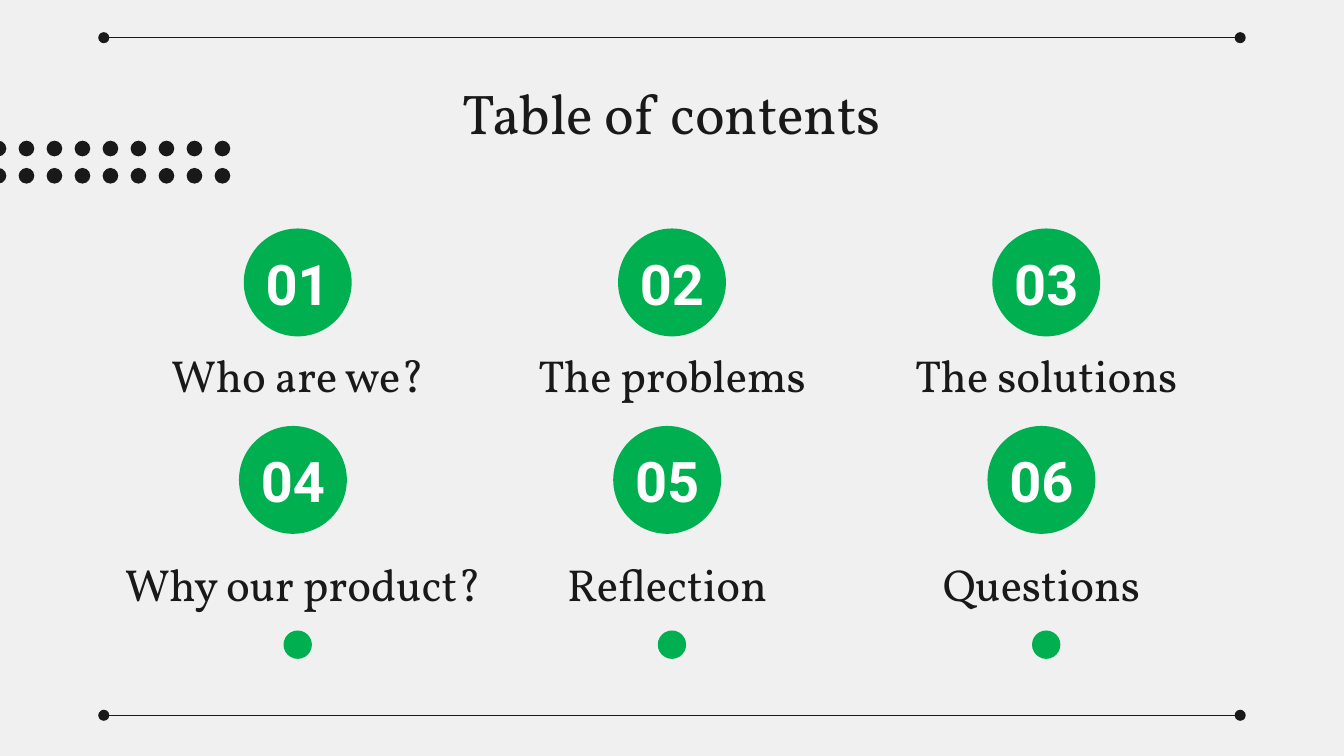
from itertools import product

from lxml import etree
from pptx import Presentation
from pptx import util as u
from pptx.dml import color
from pptx.enum import shapes, text
from pptx.oxml import ns

COLORS = {"background": "F0F0F0", "ink": "191919", "accent": "00B050", "number": "FFFFFF"}
FORMATS = {
    "title": {"size": u.Pt(30), "name": "Vollkorn", "bold": False},
    "label": {"size": u.Pt(24), "name": "Vollkorn", "bold": False},
    "number": {"size": u.Pt(30), "name": "Roboto", "bold": True},
}
COLUMN_GAP = 200.5
CIRCLE = 57.8


def rgb(name):
    """Return the named colour."""
    return color.RGBColor.from_string(COLORS[name])


def add_circle(parent, left, top, size, fill):
    """Add a plain filled circle."""
    circle = parent.add_shape(
        shapes.MSO_SHAPE.OVAL, u.Pt(left), u.Pt(top), u.Pt(size), u.Pt(size))
    circle.shadow.inherit = False
    circle.fill.solid()
    circle.fill.fore_color.rgb = rgb(fill)
    circle.line.fill.background()


def add_text(slide, box, content, style, fill="ink", anchor=text.MSO_ANCHOR.TOP):
    """Add one centred line of text in a box."""
    frame = slide.shapes.add_textbox(*map(u.Pt, box)).text_frame
    settings = {"word_wrap": True, "vertical_anchor": anchor}
    settings.update({f"margin_{side}": u.Pt(7.2) for side in ("left", "top", "right", "bottom")})
    for name, value in settings.items():
        setattr(frame, name, value)
    paragraph = frame.paragraphs[0]
    paragraph.alignment = text.PP_ALIGN.CENTER
    run = paragraph.add_run()
    run.text = content
    for name, value in FORMATS[style].items():
        setattr(run.font, name, value)
    run.font.color.rgb = rgb(fill)


def add_rule(slide, left, top, width):
    """Add a horizontal rule with round ends."""
    rule = slide.shapes.add_connector(
        shapes.MSO_CONNECTOR.STRAIGHT, u.Pt(left), u.Pt(top), u.Pt(left + width), u.Pt(top))
    rule.line.width = u.Pt(0.75)
    rule.line.color.rgb = rgb("ink")
    line = rule.line._get_or_add_ln()
    for end in ("a:headEnd", "a:tailEnd"):
        etree.SubElement(line, ns.qn(end), type="oval")
    etree.SubElement(rule._element.spPr, ns.qn("a:effectLst"))


def add_dot_grid(slide, left, top, columns, rows):
    """Add a grouped grid of small dots."""
    group = slide.shapes.add_group_shape()
    for column, row in product(range(columns), range(rows)):
        add_circle(group.shapes, left + column * 15, top + row * 14.6, 8.4, "ink")


def add_entry(slide, center, top, number, label, label_top, label_width=171.4, shift=0):
    """Add a numbered circle with its label below."""
    left = center - CIRCLE / 2
    add_circle(slide.shapes, left, top, CIRCLE, "accent")
    add_text(slide, (left, top + 11.5, CIRCLE, 35.3), f"{number:02}", "number",
             "number", text.MSO_ANCHOR.MIDDLE)
    add_text(slide, (center + shift - label_width / 2, top + label_top, label_width, 41.8),
             label, "label", anchor=text.MSO_ANCHOR.BOTTOM)


def add_contents(slide, center, top):
    """Add two rows of entries and the dots below them."""
    rows = [
        (0, 0, 58.3, [("Who are we?",), ("The problems",), ("The solutions",)]),
        (-2.6, 105.8, 64.2, [("Why our product?", 224, 5.5), ("Reflection",), ("Questions",)]),
    ]
    number = 0
    for offset, row_top, label_top, entries in rows:
        for column, (label, *label_box) in enumerate(entries, -1):
            number += 1
            add_entry(slide, center + offset + column * COLUMN_GAP, top + row_top,
                      number, label, label_top, *label_box)
    for column in (-1, 0, 1):
        add_circle(slide.shapes, center + column * COLUMN_GAP - 7.6, top + 215.4, 15.2, "accent")


def build_contents_slide(presentation):
    """Build the table of contents slide."""
    slide = presentation.slides.add_slide(presentation.slide_layouts[6])
    slide.background.fill.solid()
    slide.background.fill.fore_color.rgb = rgb("background")
    add_text(slide, (56.7, 35.1, 606.6, 45.1), "Table of contents", "title")
    for top in (20.2, 383.2):
        add_rule(slide, 55.6, top, 608.8)
    add_dot_grid(slide, -5, 75.4, 9, 2)
    add_contents(slide, 360, 122.4)


presentation = Presentation()
presentation.slide_width, presentation.slide_height = u.Pt(720), u.Pt(405)
build_contents_slide(presentation)
presentation.save("out.pptx")
